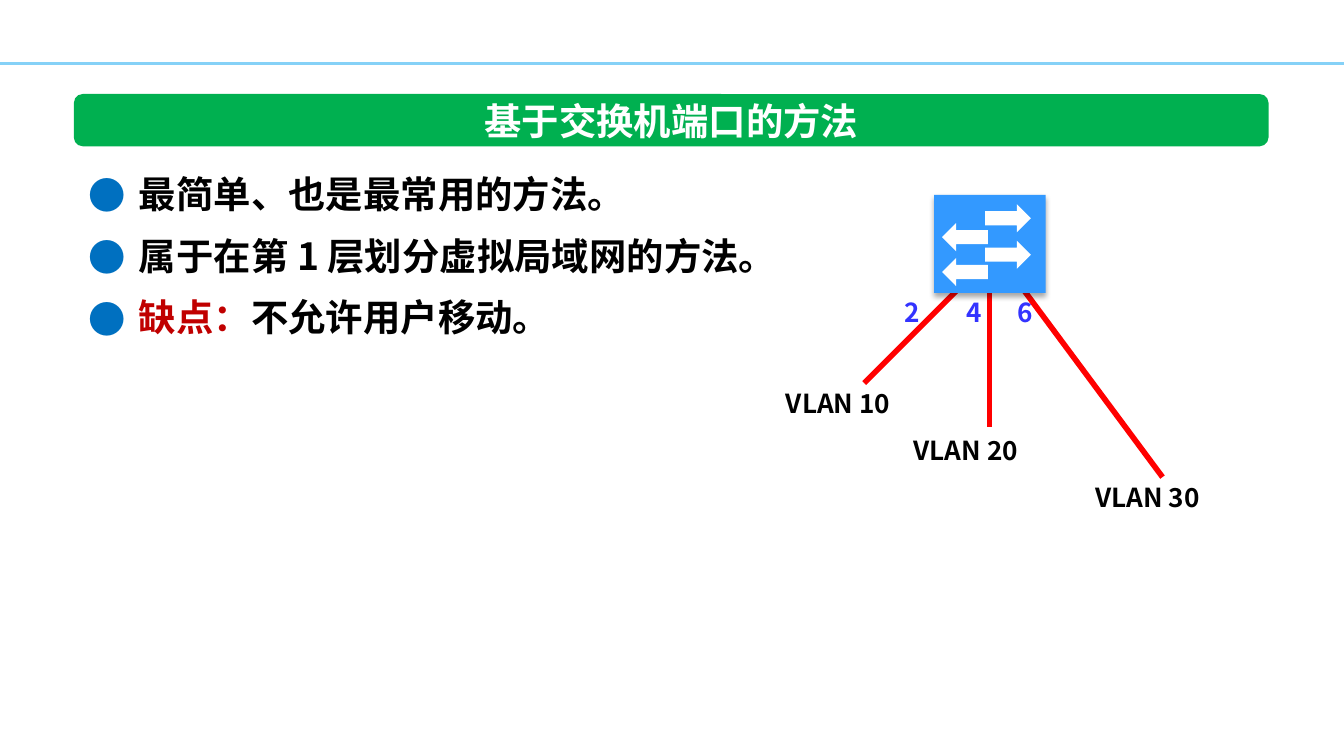
from dataclasses import dataclass

from lxml import etree
from pptx import Presentation
from pptx.dml.color import RGBColor
from pptx.enum.shapes import MSO_CONNECTOR, MSO_SHAPE
from pptx.enum.text import MSO_AUTO_SIZE, PP_ALIGN
from pptx.oxml import parse_xml
from pptx.oxml.ns import nsdecls, qn
from pptx.util import Pt

STRAIGHT = MSO_CONNECTOR.STRAIGHT
RECTANGLE = MSO_SHAPE.RECTANGLE
ROUNDED = MSO_SHAPE.ROUNDED_RECTANGLE
RIGHT, LEFT = MSO_SHAPE.RIGHT_ARROW, MSO_SHAPE.LEFT_ARROW
CENTER = PP_ALIGN.CENTER
FIT = MSO_AUTO_SIZE.SHAPE_TO_FIT_TEXT


@dataclass(frozen=True)
class Theme:
    font: str = "Noto Sans CJK SC"
    body_size: int = 20
    label_size: int = 14
    white: str = "FFFFFF"
    black: str = "000000"
    rule: str = "85D1F7"
    banner: str = "00B050"
    bullet: str = "0070C0"
    warning: str = "C00000"
    switch: str = "3399FF"
    cable: str = "FF0000"
    port: str = "3333FF"


THEME = Theme()

TITLE = "基于交换机端口的方法"
BULLETS = [
    [("最简单、也是最常用的方法。", THEME.black)],
    [("属于在第 1 层划分虚拟局域网的方法。", THEME.black)],
    [("缺点：", THEME.warning), ("不允许用户移动。", THEME.black)],
]
# port, port left, cable start, cable end, network, network left
LINKS = [
    ("2", 477.4, (517, 151.2), (463, 205.2), "VLAN 10", 414),
    ("4", 510.5, (530, 151.2), (530, 229), "VLAN 20", 482.4),
    ("6", 537.8, (544.3, 149.8), (622.8, 255.6), "VLAN 30", 579.6),
]
NETWORK_TOP, NETWORK_STEP = 203.8, 25.2
PORT_TOP = 155.5
SWITCH_BOX = (500.4, 104.4, 59.8, 52.6)
ARROWS = [
    (RIGHT, 527.8, 109.4), (RIGHT, 527.8, 128.9),
    (LEFT, 504.7, 119.5), (LEFT, 504.7, 138.2),
]
ARROW_SIZE = (24.5, 15.1)


def rgb(value):
    return RGBColor.from_string(value)


def add_line(shapes, start, end, color, width):
    line = shapes.add_connector(STRAIGHT, *map(Pt, (*start, *end)))
    line.line.color.rgb = rgb(color)
    line.line.width = Pt(width)
    etree.SubElement(line._element.spPr, qn("a:effectLst"))


def add_filled(shapes, kind, box, color):
    shape = shapes.add_shape(kind, *map(Pt, box))
    shape.shadow.inherit = False
    shape.fill.solid()
    shape.fill.fore_color.rgb = rgb(color)
    shape.line.fill.background()
    return shape


def add_text_frame(shapes, box, wrap=False):
    frame = shapes.add_textbox(*map(Pt, box)).text_frame
    frame.word_wrap = wrap
    frame.auto_size = FIT
    return frame


def style(paragraph, size, color=None):
    """Set the bold font for both Latin and East Asian characters."""
    font = paragraph.font
    font.size = Pt(size)
    font.bold = True
    if color:
        font.color.rgb = rgb(color)
    font.name = THEME.font
    etree.SubElement(font._element, qn("a:ea"), typeface=THEME.font)


def add_label(shapes, text, box, size, color, align=None):
    paragraph = add_text_frame(shapes, box).paragraphs[0]
    paragraph.text = text
    paragraph.alignment = align
    style(paragraph, size, color)


def add_bullet(paragraph):
    properties = paragraph._p.get_or_add_pPr()
    properties.set("marL", str(Pt(27)))
    properties.set("indent", str(-Pt(27)))
    color = etree.SubElement(properties, qn("a:buClr"))
    etree.SubElement(color, qn("a:srgbClr"), val=THEME.bullet)
    etree.SubElement(properties, qn("a:buFont"), typeface=THEME.font)
    etree.SubElement(properties, qn("a:buChar"), char="●")


def add_bullets(shapes):
    frame = add_text_frame(shapes, (40.3, 79.2, 639.4, 107.3), wrap=True)
    for index, runs in enumerate(BULLETS):
        paragraph = frame.add_paragraph() if index else frame.paragraphs[0]
        add_bullet(paragraph)
        paragraph.line_spacing = Pt(33)
        style(paragraph, THEME.body_size)
        for text, color in runs:
            run = paragraph.add_run()
            run.text = text
            run.font.color.rgb = rgb(color)


def add_soft_shadow(shape):
    effects = shape._element.spPr.find(qn("a:effectLst"))
    effects.append(parse_xml(
        f'<a:outerShdw {nsdecls("a")} blurRad="{Pt(3.1)}" dist="{Pt(1.8)}" '
        f'dir="5400000" rotWithShape="0"><a:srgbClr val="{THEME.black}">'
        '<a:alpha val="35000"/></a:srgbClr></a:outerShdw>'))


def add_network(shapes):
    for _, _, start, end, _, _ in LINKS:
        add_line(shapes, start, end, THEME.cable, 3)
    for row, (*_, network, left) in enumerate(LINKS):
        box = (left, NETWORK_TOP + row * NETWORK_STEP, 77, 24.5)
        add_label(shapes, network, box, THEME.label_size, THEME.black)
    add_soft_shadow(add_filled(shapes, RECTANGLE, SWITCH_BOX, THEME.switch))
    for kind, left, top in ARROWS:
        add_filled(shapes, kind, (left, top, *ARROW_SIZE), THEME.white)
    for port, left, *_ in LINKS:
        box = (left, PORT_TOP, 23, 24.5)
        add_label(shapes, port, box, THEME.label_size, THEME.port)


def main():
    presentation = Presentation()
    presentation.slide_width, presentation.slide_height = Pt(720), Pt(405)
    slide = presentation.slides.add_slide(presentation.slide_layouts[6])
    shapes = slide.shapes
    add_line(shapes, (0, 34), (720, 34), THEME.rule, 2)
    banner = add_filled(shapes, ROUNDED, (39.6, 50.4, 640, 28), THEME.banner)
    banner.adjustments[0] = 0.17
    add_label(shapes, TITLE, (251.3, 49, 216.7, 31.7),
              THEME.body_size, THEME.white, CENTER)
    add_bullets(shapes)
    add_network(shapes.add_group_shape().shapes)
    presentation.save("out.pptx")


if __name__ == "__main__":
    main()
